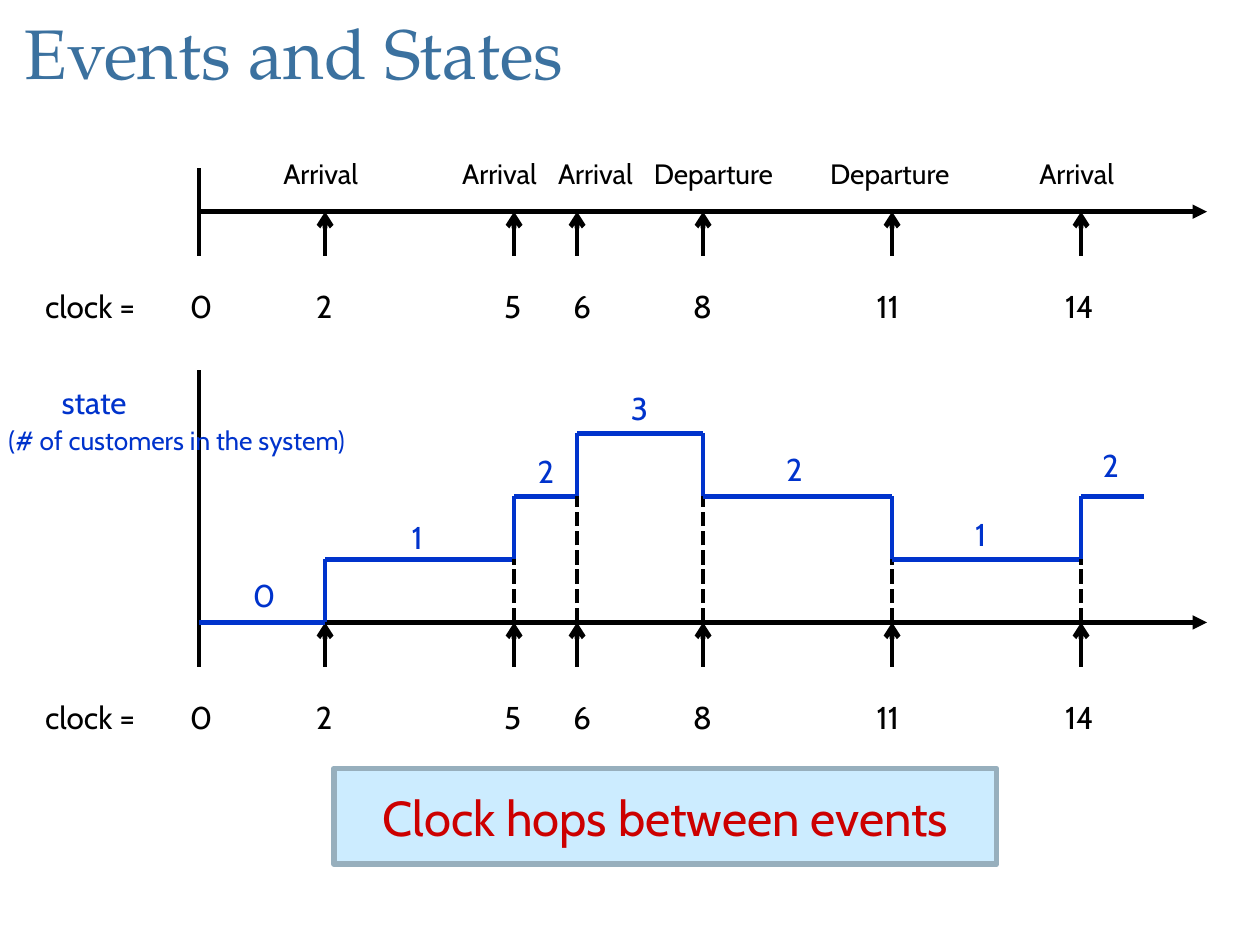
from pptx import Presentation
from pptx.dml.color import RGBColor
from pptx.enum.dml import MSO_LINE
from pptx.enum.shapes import MSO_CONNECTOR, MSO_SHAPE
from pptx.enum.text import MSO_ANCHOR as Anchor, MSO_AUTO_SIZE as AutoSize, PP_ALIGN as Align
from pptx.oxml.ns import qn
from pptx.util import Pt
from lxml.etree import SubElement

COLORS = {
    "title": "3B719F", "ink": "000000", "state": "0033CC",
    "banner": "CCECFF", "border": "97AFBD", "alert": "CC0000",
}
BODY, HEADING = "Cabin", "TeX Gyre Pagella"

# Both time axes share one scale
ORIGIN, UNIT, LEVEL = 113.76, 36, 36
AXIS_LENGTH, TICK = 576, 25.2
EVENT_AXIS, STATE_AXIS = 120.96, 355.68

# Time, left of the clock label, event name, left of the event name
EVENTS = [
    (2, 173.5, "Arrival", 154.8),
    (5, 281, "Arrival", 257),
    (6, 320.4, "Arrival", 311.8),
    (8, 388.8, "Departure", 366.5),
    (11, 493.9, "Departure", 467.3),
    (14, 601.5, "Arrival", 586.8),
]
# Start time, number of customers, left and top of the label
STATES = [
    (0, 0, 137.5, 325.4),
    (2, 1, 228.2, 292.3),
    (5, 2, 300.2, 254.9),
    (6, 3, 353.5, 218.9),
    (8, 2, 442.1, 253.4),
    (11, 1, 550.1, 290.9),
    (14, 2, 622.8, 251.3),
]
END_TIME = 15


def color(name):
    return RGBColor.from_string(COLORS[name])


def time_x(time):
    return ORIGIN + time * UNIT


def level_y(level):
    return STATE_AXIS - level * LEVEL


def write(frame, text, size=18, ink="ink", font=BODY, align=Align.LEFT,
          anchor=Anchor.TOP, spacing=None):
    frame.word_wrap = True
    frame.vertical_anchor = anchor
    para = frame.paragraphs[0]
    para.alignment = align
    para.line_spacing = spacing
    span = para.add_run()
    span.text = text
    span.font.size = Pt(size)
    span.font.name = font
    span.font.color.rgb = color(ink)


class Page:
    line_width = 2.75

    def __init__(self, deck):
        self.shapes = deck.slides.add_slide(deck.slide_layouts[6]).shapes

    def label(self, text, left, top, width, height=28.8, grow=True, **style):
        box = self.shapes.add_textbox(Pt(left), Pt(top), Pt(width), Pt(height))
        write(box.text_frame, text, **style)
        box.text_frame.auto_size = AutoSize.SHAPE_TO_FIT_TEXT if grow else AutoSize.NONE

    def number(self, value, left, top, ink="ink"):
        self.label(str(value), left, top, 26.6 if value < 10 else 39.6, ink=ink)

    def line(self, x1, y1, x2, y2, ink="ink", head=None, dashed=False):
        link = self.shapes.add_connector(
            MSO_CONNECTOR.STRAIGHT, Pt(x1), Pt(y1), Pt(x2), Pt(y2))
        link.line.width = Pt(self.line_width)
        link.line.color.rgb = color(ink)
        if dashed:
            link.line.dash_style = MSO_LINE.SQUARE_DOT
        properties = link._element.spPr
        if head:
            SubElement(properties.find(qn("a:ln")), qn("a:tailEnd"), type=head)
        SubElement(properties, qn("a:effectLst"))

    def banner(self, text, left, top, width, height):
        box = self.shapes.add_shape(
            MSO_SHAPE.RECTANGLE, Pt(left), Pt(top), Pt(width), Pt(height))
        box.shadow.inherit = False
        box.fill.solid()
        box.fill.fore_color.rgb = color("banner")
        box.line.color.rgb = color("border")
        box.line.width = Pt(3.15)
        write(box.text_frame, text, size=28, ink="alert",
              align=Align.CENTER, anchor=Anchor.MIDDLE)

    def timeline(self, axis, rise):
        self.line(ORIGIN, axis, ORIGIN + AXIS_LENGTH, axis, head="triangle")
        self.line(ORIGIN, axis + TICK, ORIGIN, axis - rise)
        clock_top = axis + 39.6
        self.label("clock =", 18.7, clock_top, 74.9)
        self.number(0, 101.5, clock_top)
        for time, left, _, _ in EVENTS:
            self.line(time_x(time), axis + TICK, time_x(time), axis, head="arrow")
            self.number(time, left, clock_top)

    def state_graph(self):
        ends = [state[0] for state in STATES[1:]] + [END_TIME]
        previous = 0
        for (start, level, left, top), end in zip(STATES, ends):
            x, y = time_x(start), level_y(level)
            base = min(previous, level)
            if base:
                self.line(x, STATE_AXIS, x, level_y(base), dashed=True)
            if level != previous:
                self.line(x, level_y(base), x, level_y(max(previous, level)), "state")
            self.line(x, y, time_x(end), y, "state")
            self.number(level, left, top, "state")
            previous = level


def main():
    deck = Presentation()
    deck.slide_width, deck.slide_height = Pt(720), Pt(540)
    page = Page(deck)

    # Title
    page.label("Events and States", 7.2, 7.2, 576, 50.4, grow=False, size=40,
               ink="title", font=HEADING, anchor=Anchor.MIDDLE, spacing=0.9)

    # Events on the upper time axis
    page.timeline(EVENT_AXIS, rise=TICK)
    for _, _, name, left in EVENTS:
        width = 63.4 if name == "Arrival" else 92.9
        page.label(name, left, 85.7, width, 26.6, size=16)

    # Conclusion
    page.banner("Clock hops between events", 190.8, 439.2, 378.7, 54.7)

    # State over time on the lower axis
    page.timeline(STATE_AXIS, rise=144)
    page.state_graph()
    page.label("state", 28.1, 215.3, 56.9, ink="state")
    page.label("(# of customers in the system)", -2.2, 239, 221, 25.2,
               size=15, ink="state")

    deck.save("out.pptx")


if __name__ == "__main__":
    main()
